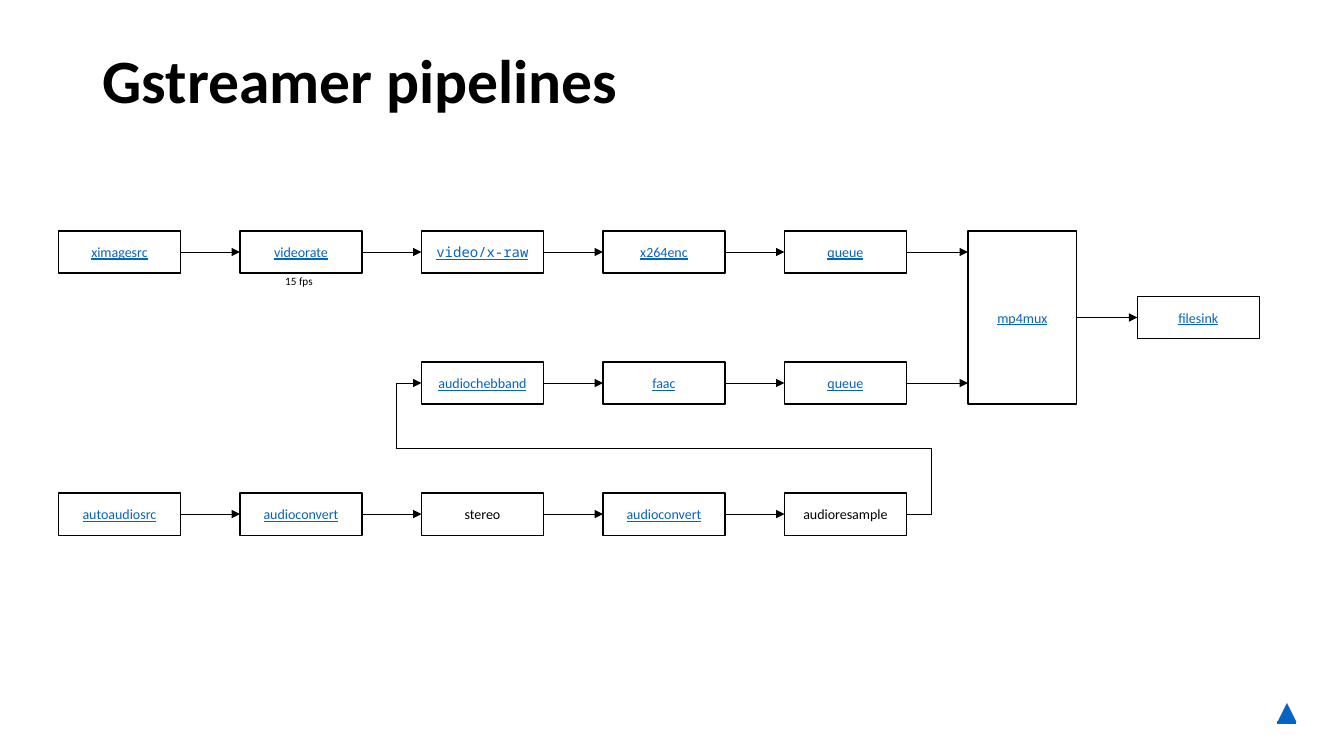
from lxml import etree
from pptx import Presentation
from pptx import util as u
from pptx.dml.color import RGBColor
from pptx.enum import shapes, text
from pptx.oxml.ns import qn

BLACK = RGBColor(0x00, 0x00, 0x00)
WHITE = RGBColor(0xFF, 0xFF, 0xFF)
BLUE = RGBColor(0x05, 0x63, 0xC1)

LEFT, TOP = 0.58, 2.29
STEP, DROP = 1.8, 1.3
WIDE, HIGH = 1.21, 0.42
MONO = "Noto Sans Mono"
ROWS = [
    (0, ["ximagesrc", "videorate", "video/x-raw", "x264enc", "queue"]),
    (2, ["audiochebband", "faac", "queue"]),
    (0, ["autoaudiosrc", "audioconvert", "stereo", "audioconvert", "audioresample"]),
]
PLAIN = {"stereo", "audioresample"}


class Deck:
    """Holds the style and the current slide, and draws each kind of element."""

    def __init__(self, prs, face="Calibri"):
        self.face = face
        self.slide = prs.slides.add_slide(prs.slide_layouts[6])
        self.shapes = self.slide.shapes

    def letter(self, frame, words, size, color=BLACK, face=None, bold=False, link=False):
        para = frame.paragraphs[0]
        para.text = words
        font = para.font
        font.name = face or self.face
        font.size = u.Pt(size)
        font.bold = bold
        font.underline = link
        font.color.rgb = color
        return para

    def label(self, words, x, y, w, h, size, wrap=True, **style):
        frame = self.shapes.add_textbox(*map(u.Inches, (x, y, w, h))).text_frame
        frame.word_wrap = wrap
        self.letter(frame, words, size, **style)
        return frame

    def box(self, words, x, y, w=WIDE, h=HIGH):
        node = self.shapes.add_shape(
            shapes.MSO_SHAPE.RECTANGLE, *map(u.Inches, (x, y, w, h)))
        node.shadow.inherit = False
        node.fill.solid()
        node.fill.fore_color.rgb = WHITE
        node.line.color.rgb = BLACK
        node.line.width = u.Pt(1)
        frame = node.text_frame
        frame.word_wrap = True
        frame.vertical_anchor = text.MSO_ANCHOR.MIDDLE
        link = words not in PLAIN
        para = self.letter(frame, words, 10, BLUE if link else BLACK,
                           MONO if "/" in words else None, link=link)
        para.alignment = text.PP_ALIGN.CENTER
        return node

    def wire(self, kind, x1, y1, x2, y2):
        line = self.shapes.add_connector(kind, x1, y1, x2, y2)
        line.line.color.rgb = BLACK
        line.line.width = u.Pt(0.5)
        props = line._element.spPr
        etree.SubElement(props.get_or_add_ln(), qn("a:tailEnd"), type="triangle")
        etree.SubElement(props, qn("a:effectLst"))
        return line

    def arrow(self, src, dst):
        y = src.top + src.height // 2
        line = self.wire(shapes.MSO_CONNECTOR.STRAIGHT,
                         src.left + src.width, y, dst.left, y)
        line.begin_connect(src, 3)
        if abs(dst.top + dst.height // 2 - y) < u.Inches(0.02):
            line.end_connect(dst, 1)

    def loop(self, src, dst, out=0.25):
        x1, x2 = src.left + src.width, dst.left
        line = self.wire(shapes.MSO_CONNECTOR.ELBOW, x1, src.top + src.height // 2,
                         x2, dst.top + dst.height // 2)
        geom = line._element.spPr.find(qn("a:prstGeom"))
        geom.set("prst", "bentConnector5")
        guides = geom.find(qn("a:avLst"))
        over = round(100000 * u.Inches(out) / (x1 - x2))
        for i, value in enumerate((-over, 50000, 100000 + over), 1):
            etree.SubElement(guides, qn("a:gd"), name=f"adj{i}", fmla=f"val {value}")


def main():
    prs = Presentation()
    prs.slide_width, prs.slide_height = u.Inches(13.33), u.Inches(7.5)
    deck = Deck(prs)

    title = deck.label("Gstreamer pipelines", 0.92, 0.4, 11.5, 0.81, 44, bold=True)
    title.vertical_anchor = text.MSO_ANCHOR.BOTTOM
    title.paragraphs[0].line_spacing = 0.9

    lanes = []
    for row, (first, names) in enumerate(ROWS):
        lane = [deck.box(name, LEFT + STEP * col, TOP + DROP * row)
                for col, name in enumerate(names, first)]
        for src, dst in zip(lane, lane[1:]):
            deck.arrow(src, dst)
        lanes.append(lane)
    video, audio, capture = lanes

    mux = deck.box("mp4mux", 9.6, TOP, 1.08, DROP + HIGH)
    sink = deck.box("filesink", 11.28, TOP + DROP / 2)
    for src, dst in ((video[-1], mux), (audio[-1], mux), (mux, sink)):
        deck.arrow(src, dst)
    deck.loop(capture[-1], audio[0])

    deck.label("15 fps", 2.73, 2.67, 0.48, 0.24, 8, wrap=False)
    deck.label("▲", 12.57, 6.84, 0.4, 0.4, 18, color=BLUE, link=True)
    prs.save("out.pptx")


if __name__ == "__main__":
    main()
